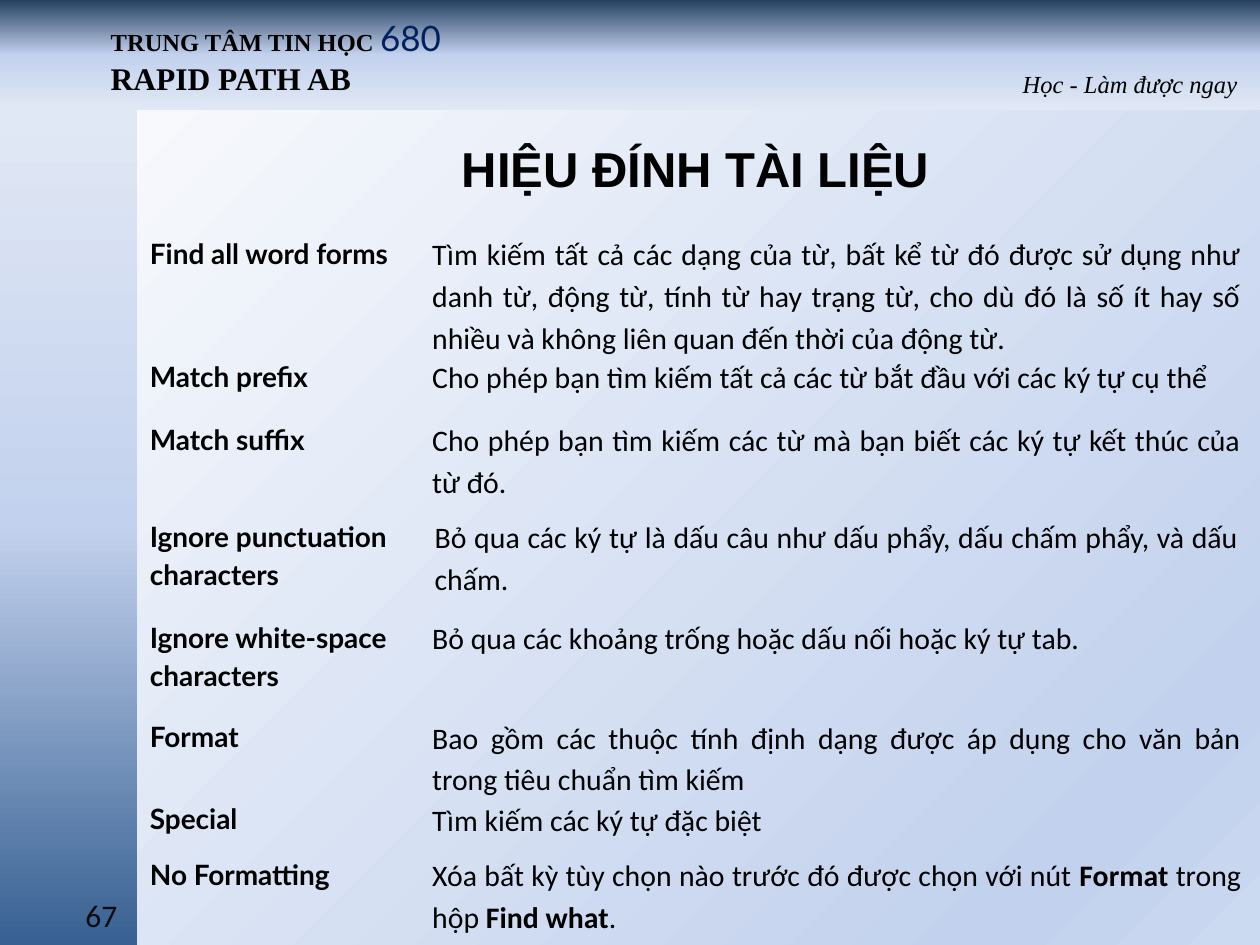
from lxml.etree import SubElement
from pptx import Presentation
from pptx.dml.color import RGBColor
from pptx.enum.shapes import MSO_SHAPE as Shape
from pptx.enum.text import MSO_ANCHOR as Anchor, PP_ALIGN as Align
from pptx.oxml.ns import qn
from pptx.util import Inches, Pt

COLORS = {
    "text": "000000", "number": "0D0D0D", "accent": "002060",
    "navy": "254061", "steel": "376092", "sky": "C2D1ED",
    "mist": "E1E8F5", "pale": "CBD9F1", "white": "FFFFFF",
}
SERIF = "Times New Roman"
NO_STYLE_NO_GRID = "{2D5ABB26-0587-4C30-8999-92F81FD0307C}"
LABEL_WIDTH, DETAIL_WIDTH = 2.24, 6.52

# Label, runs of the explanation (every second one bold), row height
OPTIONS = [
    ("Find all word forms",
     ["Tìm kiếm tất cả các dạng của từ, bất kể từ đó được sử dụng như danh từ, "
      "động từ, tính từ hay trạng từ, cho dù đó là số ít hay số nhiều và không "
      "liên quan đến thời của động từ."], 0.83),
    ("Match prefix",
     ["Cho phép bạn tìm kiếm tất cả các từ bắt đầu với các ký tự cụ thể"], 0.5),
    ("Match suffix",
     ["Cho phép bạn tìm kiếm các từ mà bạn biết các ký tự kết thúc của từ đó."], 0.77),
    ("Ignore punctuation characters",
     ["Bỏ qua các ký tự là dấu câu như dấu phẩy, dấu chấm phẩy, và dấu chấm."], 0.8),
    ("Ignore white-space characters",
     ["Bỏ qua các khoảng trống hoặc dấu nối hoặc ký tự tab."], 0.79),
    ("Format",
     ["Bao gồm các thuộc tính định dạng được áp dụng cho văn bản trong tiêu chuẩn "
      "tìm kiếm"], 0.44),
    ("Special", ["Tìm kiếm các ký tự đặc biệt"], 0.44),
    ("No Formatting",
     ["Xóa bất kỳ tùy chọn nào trước đó được chọn với nút ", "Format ",
      "trong hộp ", "Find what", "."], 0.44),
]


def write(paragraph, text, size=14, font=SERIF, color="text", bold=False,
          italic=False, align=None):
    """Append a formatted run to the paragraph."""
    if align is not None:
        paragraph.alignment = align
    run = paragraph.add_run()
    run.text = text
    run.font.size = Pt(size)
    run.font.name = font
    run.font.bold = bold
    run.font.italic = italic
    run.font.color.rgb = RGBColor.from_string(COLORS[color])


def paint_gradient(fill, owner, stops, angle):
    """Give a fill its stops; the angle runs counter-clockwise."""
    fill.gradient()
    fill.gradient_angle = angle
    stop_list = owner.find(".//" + qn("a:gsLst"))
    for stop in list(stop_list):
        stop_list.remove(stop)
    for percent, color in stops:
        stop = SubElement(stop_list, qn("a:gs"), pos=str(percent * 1000))
        SubElement(stop, qn("a:srgbClr"), val=COLORS[color])


def add_band(slide, left, top, width, height, dark, angle):
    band = slide.shapes.add_shape(
        Shape.RECTANGLE, Inches(left), Inches(top), Inches(width), Inches(height))
    band.shadow.inherit = False
    band.line.fill.background()
    paint_gradient(band.fill, band.element,
                   [(0, dark), (50, "sky"), (100, "mist")], angle)


def add_line_of_text(slide, left, top, width, height):
    """Return the paragraph of a new text box."""
    box = slide.shapes.add_textbox(
        Inches(left), Inches(top), Inches(width), Inches(height))
    box.text_frame.word_wrap = True
    return box.text_frame.paragraphs[0]


def add_header(slide, left, top, width, height):
    add_band(slide, left, top, width, height, "navy", 270)
    school = add_line_of_text(slide, left + 0.78, top + 0.42, 4.08, 0.4)
    write(school, "RAPID PATH AB", size=18, bold=True)
    center = add_line_of_text(slide, left + 0.78, top + 0.08, 6.08, 0.44)
    write(center, "TRUNG TÂM TIN HỌC ", bold=True)
    write(center, "680", size=20, font="Lato", color="accent")
    motto = add_line_of_text(slide, left + width - 3.25, top + 0.5, 3.17, 0.34)
    write(motto, "Học - Làm được ngay", italic=True, align=Align.RIGHT)


def add_sidebar(slide, left, top, width, height):
    add_band(slide, left, top, width, height, "steel", 90)
    number = add_line_of_text(slide, left + 0.43, top + height - 0.44, 0.6, 0.4)
    write(number, "67", size=18, font="Calibri", color="number", align=Align.RIGHT)


def place_title(slide, left, top, width, height):
    title = slide.shapes.title
    title.left, title.top = Inches(left), Inches(top)
    title.width, title.height = Inches(width), Inches(height)
    title.text_frame.vertical_anchor = Anchor.MIDDLE
    write(title.text_frame.paragraphs[0], "HIỆU ĐÍNH TÀI LIỆU",
          size=28, font="Arial", bold=True, align=Align.CENTER)


def prepare_cell(cell, inset=0.05):
    """Clear the cell's fill, set its margins and return its paragraph."""
    cell.fill.background()
    cell.margin_left = cell.margin_right = Inches(inset)
    cell.margin_top = cell.margin_bottom = 0
    paragraph = cell.text_frame.paragraphs[0]
    paragraph.line_spacing = 1.15
    paragraph.space_before = paragraph.space_after = Pt(2)
    return paragraph


def add_options_table(slide, left, top, width, height):
    frame = slide.shapes.add_table(
        len(OPTIONS), 2, Inches(left), Inches(top), Inches(width), Inches(height))
    table = frame.table
    table.first_row = table.horz_banding = False
    frame.element.find(".//" + qn("a:tableStyleId")).text = NO_STYLE_NO_GRID
    for column, column_width in zip(table.columns, (LABEL_WIDTH, DETAIL_WIDTH)):
        column.width = Inches(column_width)
    for row, (label, details, row_height) in zip(table.rows, OPTIONS):
        row.height = Inches(row_height)
        label_cell, detail_cell = row.cells
        write(prepare_cell(label_cell), label, size=16, font="Lato", bold=True)
        inset = 0.07 if label.startswith("Ignore punctuation") else 0.05
        explanation = prepare_cell(detail_cell, inset)
        for index, part in enumerate(details):
            write(explanation, part, size=17, font="Calibri",
                  bold=index % 2 == 1, align=Align.JUSTIFY)


def main():
    deck = Presentation()
    deck.slide_width, deck.slide_height = Inches(10), Inches(7.5)
    slide = deck.slides.add_slide(deck.slide_layouts[5])
    paint_gradient(slide.background.fill, slide.element,
                   [(0, "pale"), (13, "sky"), (100, "white")], 135)
    add_header(slide, 0, 0, 10, 0.87)
    add_sidebar(slide, 0, 0.87, 1.09, 6.63)
    place_title(slide, 1.14, 0.87, 8.76, 0.93)
    add_options_table(slide, 1.14, 1.84, LABEL_WIDTH + DETAIL_WIDTH, 5.58)
    deck.save("out.pptx")


if __name__ == "__main__":
    main()
